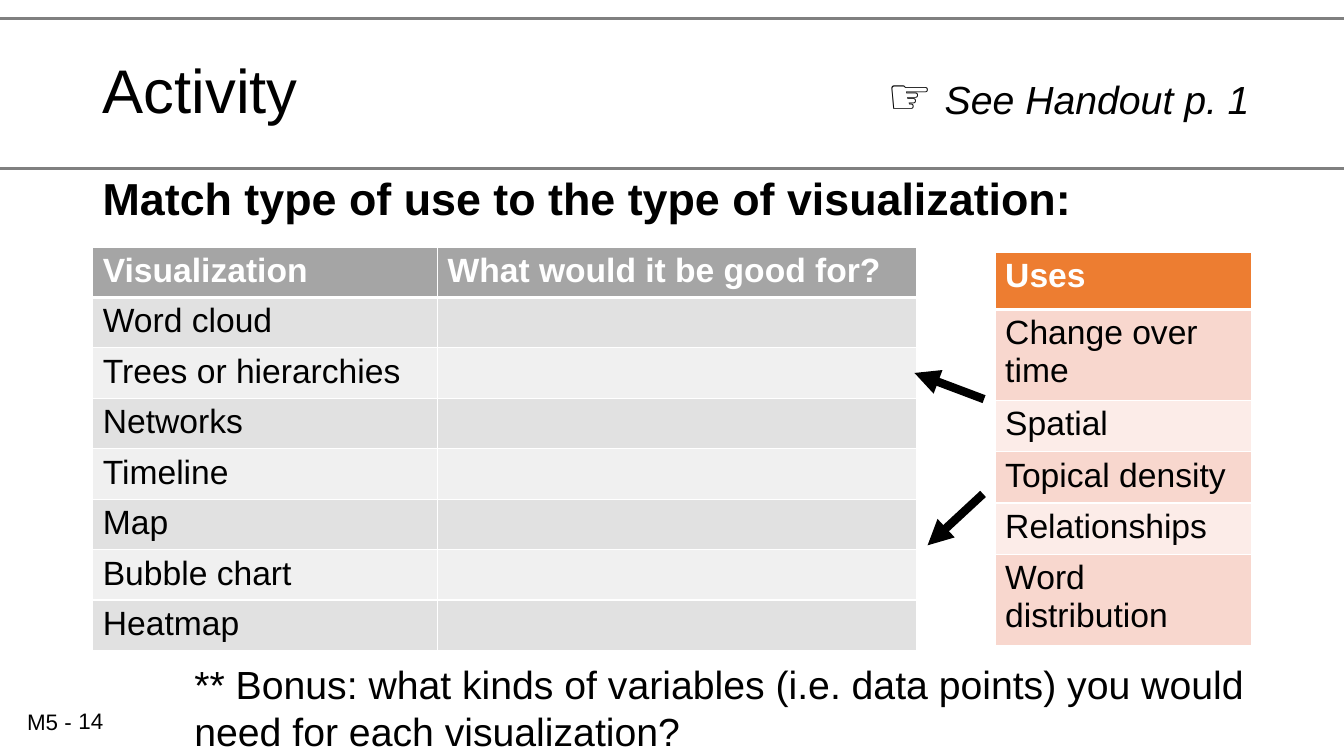
from pptx import Presentation
from pptx.dml.color import RGBColor as RGB
from pptx.enum.shapes import MSO_CONNECTOR as CONN
from pptx.enum.text import MSO_ANCHOR as ANCHOR, PP_ALIGN as ALIGN
from pptx.oxml import parse_xml
from pptx.oxml.ns import nsdecls
from pptx.util import Inches, Pt

HEX = {"ink": "000000", "paper": "FFFFFF", "rule": "808080",
       "gray": "A5A5A5", "gray1": "E1E1E1", "gray2": "F0F0F0",
       "warm": "ED7D31", "warm1": "F8D7CE", "warm2": "FCECE8"}
WIDE, HIGH = 13.33, 7.5
LEFT, SPAN = 0.92, 11.5

deck = Presentation()
deck.slide_width, deck.slide_height = Inches(WIDE), Inches(HIGH)
slide = deck.slides.add_slide(deck.slide_layouts[5])
shapes = slide.shapes


def write(frame, text, size=24, color="ink", bold=False, italic=False,
          space=None, anchor=None, wrap=True):
    """Add a run to the first paragraph of a text frame."""
    frame.word_wrap = wrap
    if anchor is not None:
        frame.vertical_anchor = anchor
    para = frame.paragraphs[0]
    para.alignment = ALIGN.LEFT
    if space:
        para.line_spacing = space
    run = para.add_run()
    run.text = text
    font = run.font
    font.name, font.size = "Arial", Pt(size)
    font.bold, font.italic = bold, italic
    font.color.rgb = RGB.from_string(HEX[color])


def draw(x1, y1, x2, y2, color, width):
    """Add a straight line without shadow."""
    line = shapes.add_connector(CONN.STRAIGHT, Inches(x1), Inches(y1),
                                Inches(x2), Inches(y2))
    line.line.color.rgb = RGB.from_string(HEX[color])
    line.line.width = Pt(width)
    line._element.spPr.append(parse_xml(f"<a:effectLst {nsdecls('a')}/>"))
    return line


# Rules above and below the title
for y in (0.18, 1.67):
    draw(0, y, WIDE, y, "rule", 2.25)

# Title
title = shapes.title
title.left, title.top = Inches(LEFT), Inches(0.2)
title.width, title.height = Inches(SPAN), Inches(1.45)
write(title.text_frame, "Activity", size=44, space=0.9, anchor=ANCHOR.MIDDLE)

# Text boxes: place, then runs with their format
notes = [
    ((LEFT, 1.7, SPAN, 0.63),
     [("Match type of use to the type of visualization:",
       dict(size=32, bold=True, space=0.9))]),
    ((8.7, 0.59, 3.86, 0.71),
     [("☞", dict(size=36, wrap=False)), (" ", dict(size=32, wrap=False)),
      ("See Handout p. 1", dict(size=28, italic=True, wrap=False))]),
    ((1.83, 6.5, SPAN, 1.04),
     [("** Bonus: what kinds of variables (i.e. data points) you would "
       "need for each visualization?", dict(size=28))]),
    ((0.17, 6.98, 0.95, 0.37), [("M5 -", dict(size=16))]),
    ((0.68, 6.95, 3, 0.4), [("14", dict(size=16, anchor=ANCHOR.MIDDLE))]),
]
for place, runs in notes:
    box = shapes.add_textbox(*map(Inches, place))
    for text, form in runs:
        write(box.text_frame, text, **form)

# Tables: place, column widths, row heights, hue, rows of text
kinds = ["Word cloud", "Trees or hierarchies", "Networks", "Timeline",
         "Map", "Bubble chart", "Heatmap"]
uses = ["Change over time", "Spatial", "Topical density",
        "Relationships", "Word distribution"]
grids = [
    (LEFT, 2.45, [3.42, 4.75], [0.47] * 8, "gray",
     [["Visualization", "What would it be good for?"]]
     + [[kind, ""] for kind in kinds]),
    (9.87, 2.5, [2.54], [0.57] + [0.51] * 5, "warm",
     [["Uses"]] + [[use] for use in uses]),
]
for x, y, cols, rows, hue, cells in grids:
    table = shapes.add_table(len(rows), len(cols), Inches(x), Inches(y),
                             Inches(sum(cols)), Inches(sum(rows))).table
    table.horz_banding = False
    for col, width in zip(table.columns, cols):
        col.width = Inches(width)
    for r, (row, height) in enumerate(zip(table.rows, rows)):
        row.height = Inches(height)
        head = r == 0
        fill = hue if head else hue + str(2 - r % 2)
        for c, text in enumerate(cells[r]):
            cell = table.cell(r, c)
            prop = cell._tc.get_or_add_tcPr()
            for side in "LRTB":
                thick = (side == "B" and head) or (side == "T" and r == 1)
                prop.append(parse_xml(
                    f'<a:ln{side} {nsdecls("a")} w="{Pt(3 if thick else 1)}">'
                    f'<a:solidFill><a:srgbClr val="{HEX["paper"]}"/>'
                    f'</a:solidFill></a:ln{side}>'))
            cell.fill.solid()
            cell.fill.fore_color.rgb = RGB.from_string(HEX[fill])
            if text:
                write(cell.text_frame, text, bold=head,
                      color="paper" if head else "ink")

# Arrows from the uses to the visualizations
for ends in ((9.75, 4.9, 9.2, 5.41), (9.76, 3.96, 9.07, 3.7)):
    arrow = draw(*ends, "ink", 6)
    arrow.line._get_or_add_ln().append(
        parse_xml(f'<a:tailEnd {nsdecls("a")} type="triangle"/>'))

deck.save("out.pptx")
